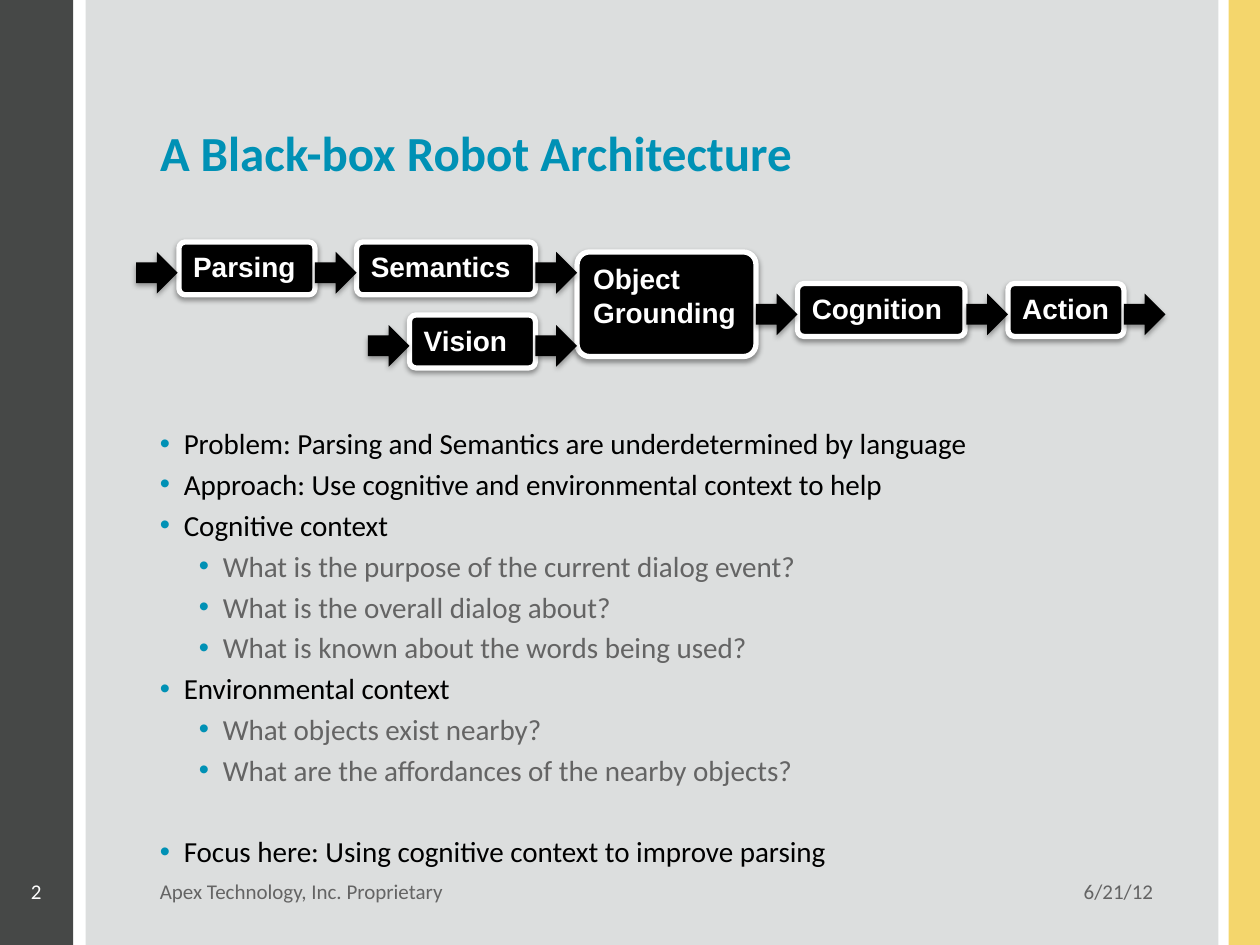
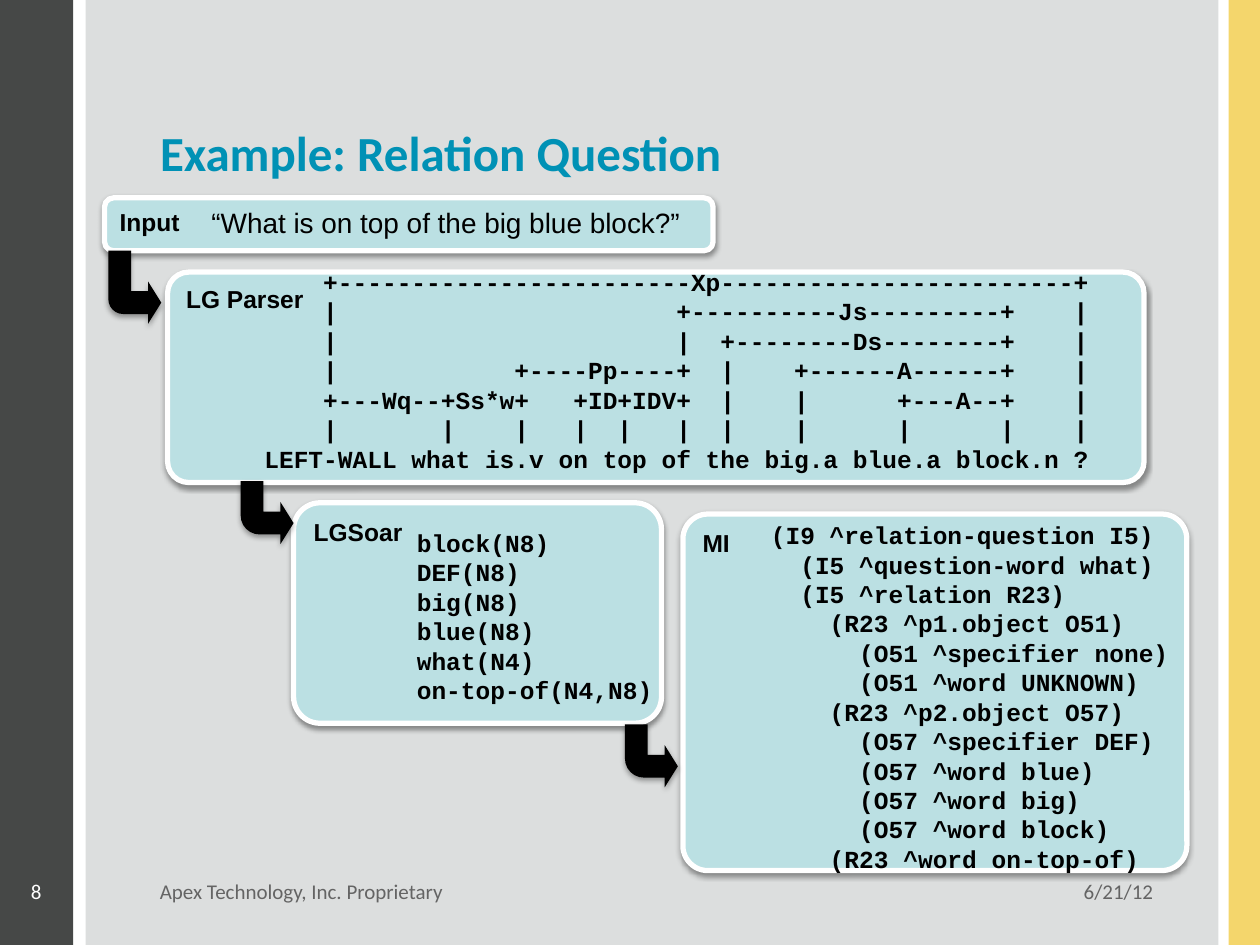
from lxml.etree import SubElement
from pptx import Presentation
from pptx.dml.color import RGBColor
from pptx.enum.shapes import MSO_SHAPE
from pptx.enum.text import MSO_ANCHOR, PP_ALIGN
from pptx.oxml.ns import qn
from pptx.util import Inches, Pt

BLACK = RGBColor(0, 0, 0)
WHITE = RGBColor(255, 255, 255)
TEAL = RGBColor(0x00, 0x91, 0xB5)
GREY = RGBColor(0x64, 0x64, 0x64)
DARK = RGBColor(0x46, 0x48, 0x47)
GOLD = RGBColor(0xF4, 0xD6, 0x6C)
PALE = RGBColor(0xDC, 0xDE, 0xDE)
AQUA = RGBColor(0xBB, 0xE0, 0xE3)

SANS = "Calibri"
LABEL = "Arial"
CODE = "Courier New"


def write(shape, lines, size, font, tone, bold=False, wrap=True,
          align=PP_ALIGN.LEFT):
    """Fill a shape with one paragraph per line, from the top down."""
    frame = shape.text_frame
    frame.word_wrap = wrap
    frame.vertical_anchor = MSO_ANCHOR.TOP
    for i, line in enumerate(lines):
        para = frame.add_paragraph() if i else frame.paragraphs[0]
        para.alignment = align
        run = para.add_run()
        run.text = line
        run.font.size = Pt(size)
        run.font.name = font
        run.font.bold = bold
        run.font.color.rgb = tone


def draw(slide, kind, box, fill, bends=(), edge=False, cast=None):
    """Add a filled shape; cast is the opacity in percent of its shadow."""
    shape = slide.shapes.add_shape(kind, *map(Inches, box))
    shape.shadow.inherit = False
    shape.fill.solid()
    shape.fill.fore_color.rgb = fill
    for i, bend in enumerate(bends):
        shape.adjustments[i] = bend
    if edge:
        shape.line.color.rgb = WHITE
        shape.line.width = Pt(3)
    else:
        shape.line.fill.background()
    if cast:
        effects = shape._element.spPr.find(qn("a:effectLst"))
        outer = SubElement(effects, qn("a:outerShdw"), blurRad=str(Pt(3.1)),
                           dist=str(Pt(1.7)), dir="5400000", rotWithShape="0")
        color = SubElement(outer, qn("a:srgbClr"), val="000000")
        SubElement(color, qn("a:alpha"), val=str(cast * 1000))
    return shape


deck = Presentation()
deck.slide_width = Inches(10)
deck.slide_height = Inches(7.5)
layout = deck.slide_layouts[5]
robot = deck.slides.add_slide(layout)
query = deck.slides.add_slide(layout)

# Bands live on the layout, behind everything on the slides
bands = [(0, 0.58, DARK), (9.75, 0.25, GOLD), (0.68, 8.99, PALE)]
for i, (left, width, tone) in enumerate(bands):
    band = draw(robot, MSO_SHAPE.RECTANGLE, (left, 0, width, 7.5), tone)
    layout.shapes._spTree.insert(2 + i, band._element)

# Titles and footers
heads = [(robot, "A Black-box Robot Architecture", "2"),
         (query, "Example: Relation Question", "8")]
for slide, head, number in heads:
    title = slide.shapes.title
    title.left, title.top = Inches(1.17), Inches(0.92)
    title.width, title.height = Inches(8.08), Inches(0.67)
    write(title, [head], 28, SANS, TEAL, bold=True)
    feet = [
        (7.83, 1.42, "6/21/12", GREY, PP_ALIGN.RIGHT, 0.1),
        (1.17, 6.58, "Apex Technology, Inc. Proprietary", GREY, PP_ALIGN.LEFT, 0.1),
        (0, 0.58, number, WHITE, PP_ALIGN.RIGHT, 0.25),
    ]
    for left, width, words, tone, align, inset in feet:
        foot = slide.shapes.add_textbox(
            Inches(left), Inches(6.92), Inches(width), Inches(0.33))
        foot.text_frame.margin_right = Inches(inset)
        write(foot, [words], 12, SANS, tone, align=align)

# Slide 1: bullets
points = [
    (0, "Problem: Parsing and Semantics are underdetermined by language"),
    (0, "Approach: Use cognitive and environmental context to help"),
    (0, "Cognitive context"),
    (1, "What is the purpose of the current dialog event?"),
    (1, "What is the overall dialog about?"),
    (1, "What is known about the words being used?"),
    (0, "Environmental context"),
    (1, "What objects exist nearby?"),
    (1, "What are the affordances of the nearby objects?"),
    (0, "Focus here: Using cognitive context to improve parsing"),
]
body = robot.shapes.add_textbox(
    Inches(1.17), Inches(3.33), Inches(8.08), Inches(3.33))
write(body, [words for _, words in points], 16.6, SANS, BLACK)
paras = body.text_frame.paragraphs
for para, (level, _) in zip(paras, points):
    para.level = level
    props = para._p.get_or_add_pPr()
    props.set("marL", str(Inches((0.19, 0.5)[level])))
    props.set("indent", str(Inches(-0.19)))
    color = SubElement(props, qn("a:buClr"))
    SubElement(color, qn("a:srgbClr"), val=str(TEAL))
    SubElement(props, qn("a:buFont"), typeface=LABEL)
    SubElement(props, qn("a:buChar"), char="•")
    if level:
        para.runs[0].font.color.rgb = GREY
for para in paras[1:]:
    para.space_before = Pt(3.4)
paras[-1].space_before = Pt(26.6)

# Slide 1: pipeline of boxes, with an arrow in each gap
stages = [
    ("Parsing", 1.42, 1.92, 1.08, 0.42),
    ("Semantics", 2.83, 1.92, 1.42, 0.42),
    ("Vision", 3.25, 2.5, 1, 0.42),
    ("Object Grounding", 4.58, 2, 1.42, 0.83),
    ("Cognition", 6.33, 2.25, 1.33, 0.42),
    ("Action", 8, 2.25, 0.92, 0.42),
]
for name, *box in stages:
    stage = draw(robot, MSO_SHAPE.ROUNDED_RECTANGLE, box, BLACK, [0.12],
                 edge=True, cast=38)
    stage.text_frame.margin_right = Inches(0.05)
    write(stage, [name], 16, LABEL, WHITE, bold=True)
rows = [(2, (1.08, 2.5, 4.25)), (2.58, (2.92, 4.25)), (2.33, (6, 7.67, 8.92))]
for top, lefts in rows:
    for left in lefts:
        draw(robot, MSO_SHAPE.RIGHT_ARROW, (left, top, 0.33, 0.33), BLACK,
             cast=35)

# Slide 2: panels, each with its label and its content
tree = [
    "    +------------------------Xp------------------------+",
    "    |                       +----------Js---------+    |",
    "    |                       |  +--------Ds--------+    |",
    "    |            +----Pp----+  |    +------A------+    |",
    "    +---Wq--+Ss*w+   +ID+IDV+  |    |      +---A--+    |",
    "    |       |    |   |  |   |  |    |      |      |    |",
    "LEFT-WALL what is.v on top of the big.a blue.a block.n ?",
]
facts = ["block(N8)", "DEF(N8)", "big(N8)", "blue(N8)", "what(N4)",
         "on-top-of(N4,N8)"]
frames = [
    "(I9 ^relation-question I5)",
    "  (I5 ^question-word what)",
    "  (I5 ^relation R23)",
    "    (R23 ^p1.object O51)",
    "      (O51 ^specifier none)",
    "      (O51 ^word UNKNOWN)",
    "    (R23 ^p2.object O57)",
    "      (O57 ^specifier DEF)",
    "      (O57 ^word blue)",
    "      (O57 ^word big)",
    "      (O57 ^word block)",
    "    (R23 ^word on-top-of)",
]
ask = ["“What is on top of the big blue block?”"]
panels = [
    ("Input", (0.83, 1.57, 4.83, 0.42), 0.17,
     ask, (1.58, 1.58, 3.97, 0.37), (16, LABEL, BLACK, False)),
    ("LG Parser", (1.33, 2.16, 7.75, 1.67), 0.1,
     tree, (2, 2.07, 6.94, 1.75), (14, CODE, BLACK, True)),
    ("LGSoar", (2.33, 3.99, 2.92, 1.75), 0.12,
     facts, (3.21, 4.14, 2.09, 1.51), (14, CODE, BLACK, True)),
    ("MI", (5.42, 4.08, 4, 2.83), 0.07,
     frames, (6.02, 4.08, 3.39, 2.93), (14, CODE, BLACK, True)),
]
for name, box, bend, lines, spot, style in panels:
    panel = draw(query, MSO_SHAPE.ROUNDED_RECTANGLE, box, AQUA, [bend],
                 edge=True, cast=38)
    write(panel, [name], 14, LABEL, BLACK, bold=True)
    text = query.shapes.add_textbox(*map(Inches, spot))
    write(text, lines, *style, wrap=False)

# Slide 2: bent arrows from panel to panel
bends = [(0.86, 1.99, 0.58, 0.28), (1.91, 3.82, 0.5, 0.36),
         (4.96, 5.75, 0.5, 0.36)]
for left, top, height, reach in bends:
    arrow = draw(query, MSO_SHAPE.BENT_ARROW, (left, top, 0.42, height), BLACK,
                 [0.43, 0.4, 0.25, reach], cast=35)
    arrow._element.spPr.find(qn("a:xfrm")).set("flipV", "1")

deck.save("out.pptx")
